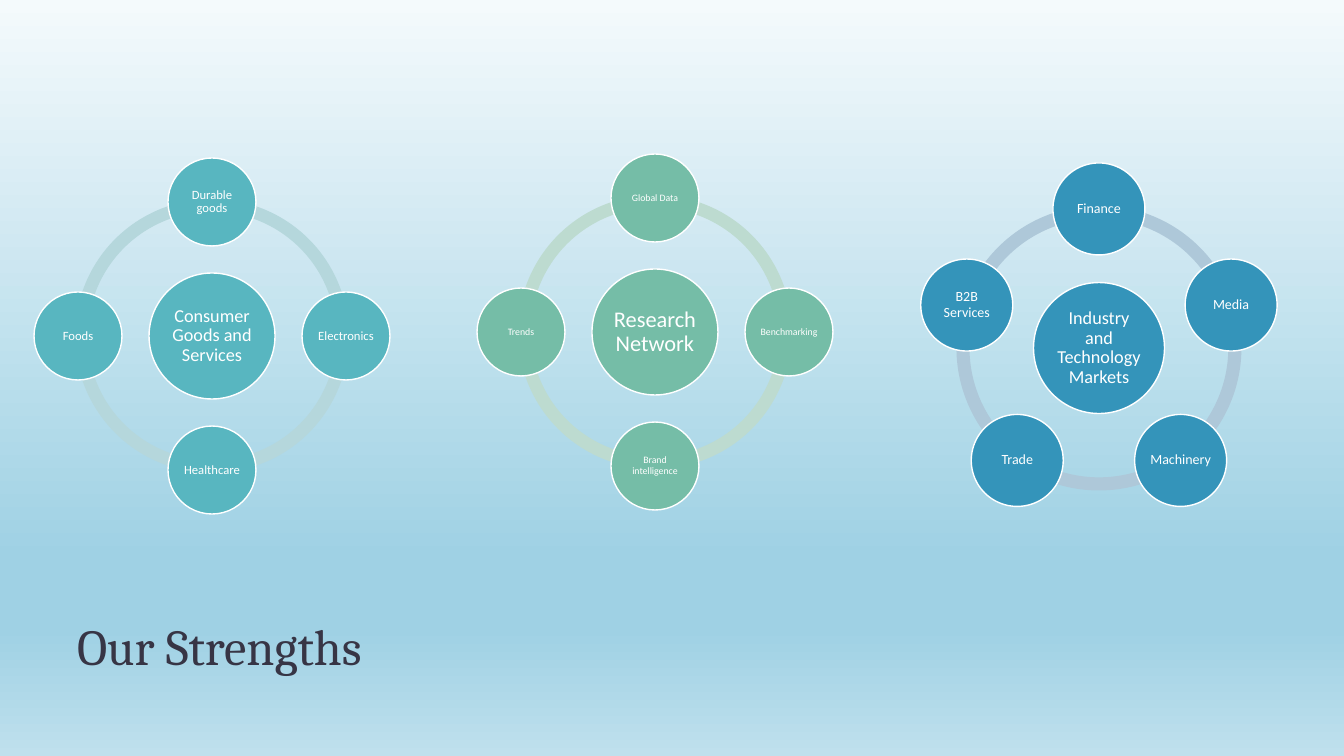
"""Build the "Our Strengths" slide: three hubs, each ringed by its topics."""
from copy import deepcopy
from math import cos, radians, sin

from pptx import Presentation
from pptx.dml.color import RGBColor
from pptx.enum.shapes import MSO_SHAPE
from pptx.enum.text import MSO_ANCHOR, MSO_AUTO_SIZE, PP_ALIGN
from pptx.oxml.ns import qn
from pptx.util import Pt

ARC, DISK = MSO_SHAPE.BLOCK_ARC, MSO_SHAPE.OVAL
MIDDLE, BOTTOM = MSO_ANCHOR.MIDDLE, MSO_ANCHOR.BOTTOM
CENTER, LEFT = PP_ALIGN.CENTER, PP_ALIGN.LEFT
NO_FIT = MSO_AUTO_SIZE.NONE

PX = 914400 / 100.8
WIDTH, HEIGHT = 1344, 756
TITLE = "Our Strengths"
TITLE_BOX = (67, 562, 1210, 118)
SKY = [(0, "F4FAFC"), (0.74, "9FD1E4"), (0.83, "9FD1E4"), (1, "BFE0ED")]
WHITE, INK = "FFFFFF", "373545"
TOP_ANGLE = 270
RING_THICKNESS = 0.046
ANGLE_UNIT = 0.6

WHEELS = [
    {"hub": "Industry and Technology Markets", "center": (1099, 348),
     "topics": ["Finance", "Media", "Machinery", "Trade", "B2B Services"],
     "fill": "3494BA", "ring_fill": "AEC8D9", "hub_points": 13, "topic_points": 10,
     "ring": 285, "orbit": 139, "hub_size": 131, "topic_size": 92},
    {"hub": "Research Network", "center": (655, 332),
     "topics": ["Global Data", "Benchmarking", "Brand intelligence", "Trends"],
     "fill": "75BDA7", "ring_fill": "BDDBD0", "hub_points": 16, "topic_points": 7,
     "ring": 274, "orbit": 134, "hub_size": 126, "topic_size": 88},
    {"hub": "Consumer Goods and Services", "center": (212, 336),
     "topics": ["Durable goods", "Electronics", "Healthcare", "Foods"],
     "fill": "58B6C0", "ring_fill": "B5D7DC", "hub_points": 13, "topic_points": 9,
     "ring": 274, "orbit": 134, "hub_size": 126, "topic_size": 88},
]


def emu(pixels):
    return round(pixels * PX)


def color(value):
    return RGBColor.from_string(value)


def apply(target, values):
    for name, value in values.items():
        setattr(target, name, value)


def write(frame, text, font, size, ink, spacing, align, frame_format):
    apply(frame, {"word_wrap": True, "auto_size": NO_FIT, **frame_format})
    para = frame.paragraphs[0]
    apply(para, {"alignment": align, "line_spacing": spacing})
    span = para.add_run()
    span.text = text
    apply(span.font, {"name": font, "size": Pt(size)})
    span.font.color.rgb = color(ink)


def paint_sky(page):
    fill = page.background.fill
    fill.gradient()
    fill.gradient_angle = 270
    first = next(page.background._cSld.iter(qn("a:gs")))
    for _ in SKY[2:]:
        first.addnext(deepcopy(first))
    for stop, (position, value) in zip(fill.gradient_stops, SKY):
        stop.position = position
        stop.color.rgb = color(value)


def add_round(page, kind, center, size, fill):
    left, top = (emu(middle - size / 2) for middle in center)
    shape = page.shapes.add_shape(kind, left, top, emu(size), emu(size))
    shape.shadow.inherit = False
    shape.fill.solid()
    shape.fill.fore_color.rgb = color(fill)
    return shape


def add_arc(page, wheel, start, end):
    arc = add_round(page, ARC, wheel["center"], wheel["ring"], wheel["ring_fill"])
    arc.line.fill.background()
    values = (start % 360 * ANGLE_UNIT, end % 360 * ANGLE_UNIT, RING_THICKNESS)
    for index, value in enumerate(values):
        arc.adjustments[index] = value


def add_disk(page, wheel, center, size, text, points, inset):
    disk = add_round(page, DISK, center, size, wheel["fill"])
    disk.line.color.rgb = color(WHITE)
    disk.line.width = Pt(1)
    sides = ("left", "top", "right", "bottom")
    margins = {f"margin_{side}": emu(inset) for side in sides}
    write(disk.text_frame, text, "Calibri", points, WHITE, 0.9, CENTER,
          {"vertical_anchor": MIDDLE, **margins})


def add_wheel(page, wheel):
    topics, (x, y) = wheel["topics"], wheel["center"]
    step = 360 / len(topics)
    angles = [TOP_ANGLE + step * index for index in range(len(topics))]
    for angle in angles:
        add_arc(page, wheel, angle, angle + step)
    add_disk(page, wheel, (x, y), wheel["hub_size"], wheel["hub"], wheel["hub_points"], 2)
    for topic, angle in zip(topics, angles):
        center = (x + wheel["orbit"] * cos(radians(angle)),
                  y + wheel["orbit"] * sin(radians(angle)))
        add_disk(page, wheel, center, wheel["topic_size"], topic, wheel["topic_points"], 1)


def main():
    deck = Presentation()
    apply(deck, {"slide_width": emu(WIDTH), "slide_height": emu(HEIGHT)})
    page = deck.slides.add_slide(deck.slide_layouts[5])
    paint_sky(page)
    for wheel in WHEELS:
        add_wheel(page, wheel)
    title = page.shapes.title
    apply(title, dict(zip(("left", "top", "width", "height"), map(emu, TITLE_BOX))))
    write(title.text_frame, TITLE, "Cambria", 36, INK, 0.8, LEFT,
          {"vertical_anchor": BOTTOM})
    deck.save("out.pptx")


if __name__ == "__main__":
    main()
